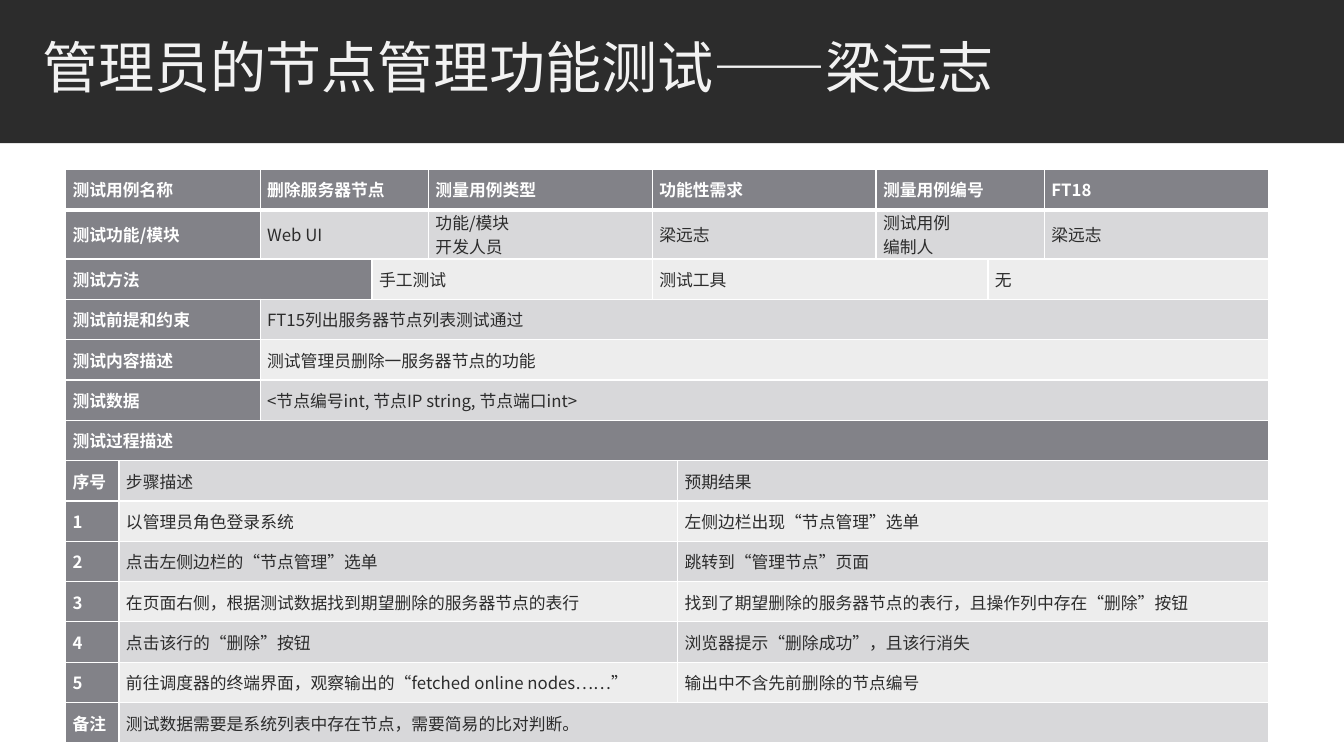
from lxml.etree import SubElement
from pptx import Presentation
from pptx.dml.color import RGBColor
from pptx.enum.shapes import MSO_SHAPE
from pptx.enum.text import MSO_ANCHOR
from pptx.oxml import parse_xml
from pptx.oxml.ns import nsdecls, qn
from pptx.util import Inches, Pt

FONT = "Noto Sans CJK SC"
COLORS = {
    "dark": "2C2C2C", "title": "F2F2F2", "white": "FFFFFF",
    "header": "828288", "odd": "D8D8DA", "even": "EDEDED",
}
COL_WIDTHS = [0.53, 1.4, 1.11, 0.56, 2.22, 0.25, 1.97, 1.11, 0.56, 2.22]
ROW_HEIGHT, TWO_LINE_HEIGHT = 0.4, 0.49
CELL_FORMAT = {
    "vertical_anchor": MSO_ANCHOR.MIDDLE,
    "margin_left": Inches(0.07), "margin_right": Inches(0.07),
    "margin_top": 0, "margin_bottom": 0,
}
TITLE_FORMAT = {"word_wrap": True, "vertical_anchor": MSO_ANCHOR.MIDDLE}

# Column spans of each kind of row
CASE, METHOD, DETAIL = (2, 2, 1, 2, 2, 1), (3, 2, 3, 2), (2, 8)
SECTION, STEP, REMARK = (10,), (1, 5, 4), (1, 9)
ROWS = [
    (CASE, ["测试用例名称", "删除服务器节点", "测量用例类型",
            "功能性需求", "测量用例编号", "FT18"]),
    (CASE, ["测试功能/模块", "Web UI", "功能/模块\n开发人员",
            "梁远志", "测试用例\n编制人", "梁远志"]),
    (METHOD, ["测试方法", "手工测试", "测试工具", "无"]),
    (DETAIL, ["测试前提和约束", "FT15列出服务器节点列表测试通过"]),
    (DETAIL, ["测试内容描述", "测试管理员删除一服务器节点的功能"]),
    (DETAIL, ["测试数据", "<节点编号int, 节点IP string, 节点端口int>"]),
    (SECTION, ["测试过程描述"]),
    (STEP, ["序号", "步骤描述", "预期结果"]),
    (STEP, ["1", "以管理员角色登录系统", "左侧边栏出现“节点管理”选单"]),
    (STEP, ["2", "点击左侧边栏的“节点管理”选单", "跳转到“管理节点”页面"]),
    (STEP, ["3", "在页面右侧，根据测试数据找到期望删除的服务器节点的表行",
            "找到了期望删除的服务器节点的表行，且操作列中存在“删除”按钮"]),
    (STEP, ["4", "点击该行的“删除”按钮", "浏览器提示“删除成功”，且该行消失"]),
    (STEP, ["5", "前往调度器的终端界面，观察输出的“fetched online nodes……”",
            "输出中不含先前删除的节点编号"]),
    (REMARK, ["备注", "测试数据需要是系统列表中存在节点，需要简易的比对判断。"]),
]


def rgb(name):
    return RGBColor.from_string(COLORS[name])


def set_format(obj, values):
    for name, value in values.items():
        setattr(obj, name, value)


def write_text(tf, text, size, color, bold=False):
    tf.text = text
    for p in tf.paragraphs:
        for r in p.runs:
            set_format(r.font, {"size": Pt(size), "bold": bold, "name": FONT})
            r.font.color.rgb = rgb(color)
            SubElement(r.font._element, qn("a:ea"), typeface=FONT)


def set_borders(cell, row):
    """Draw white cell edges, heavier below the first row."""
    tc_pr = cell._tc.get_or_add_tcPr()
    for i, side in enumerate("LRTB"):
        width = Pt(3 if row == 0 and side == "B" else 1)
        tc_pr.insert(i, parse_xml(
            f'<a:ln{side} {nsdecls("a")} w="{width}"><a:solidFill>'
            f'<a:srgbClr val="{COLORS["white"]}"/></a:solidFill></a:ln{side}>'))


def add_title_band(slide, left, top, width, height, title):
    sp = slide.shapes.add_shape(MSO_SHAPE.RECTANGLE, left, top, width, height)
    sp.shadow.inherit = False
    sp.fill.solid()
    sp.fill.fore_color.rgb = rgb("dark")
    sp.line.fill.background()

    box = slide.shapes.add_textbox(left + Inches(0.32), top + Inches(0.26),
                                   Inches(10.7), Inches(0.9))
    tf = box.text_frame
    set_format(tf, TITLE_FORMAT)
    write_text(tf, title, 40, "title")
    tf.paragraphs[0].line_spacing = 0.85


def add_test_table(slide, left, top, width):
    """Place the table; rows holding a two-line cell are taller."""
    heights = [TWO_LINE_HEIGHT if any("\n" in text for text in texts)
               else ROW_HEIGHT for _, texts in ROWS]
    table = slide.shapes.add_table(len(ROWS), len(COL_WIDTHS), left, top,
                                   width, Inches(sum(heights))).table
    for column, col_width in zip(table.columns, COL_WIDTHS):
        column.width = Inches(col_width)
    for row, (spans, texts) in enumerate(ROWS):
        table.rows[row].height = Inches(heights[row])
        col = 0
        for span, text in zip(spans, texts):
            header = row == 0 or col == 0
            band = "odd" if row % 2 else "even"
            for c in range(col, col + span):
                cell = table.cell(row, c)
                set_format(cell, CELL_FORMAT)
                cell.fill.solid()
                cell.fill.fore_color.rgb = rgb("header" if header else band)
                set_borders(cell, row)
            cell = table.cell(row, col)
            if span > 1:
                cell.merge(table.cell(row, col + span - 1))
            write_text(cell.text_frame, text, 12,
                       "white" if header else "dark", header)
            col += span


def main():
    prs = Presentation()
    prs.slide_width, prs.slide_height = Inches(13.33), Inches(7.5)
    slide = prs.slides.add_slide(prs.slide_layouts[6])
    add_title_band(slide, 0, 0, prs.slide_width, Inches(1.42),
                   "管理员的节点管理功能测试——梁远志")
    add_test_table(slide, Inches(0.65), Inches(1.68), Inches(sum(COL_WIDTHS)))
    prs.save("out.pptx")


if __name__ == "__main__":
    main()
